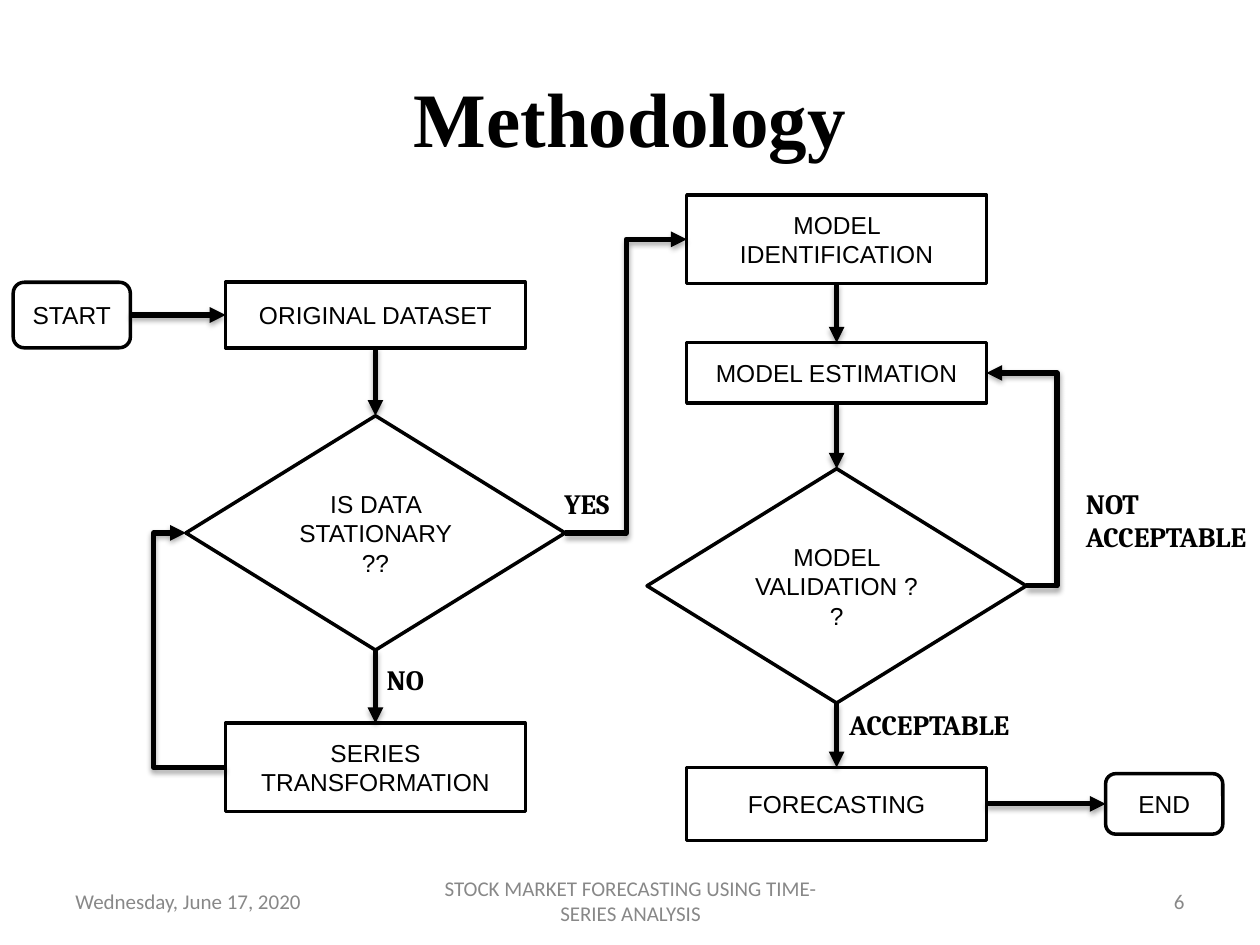
from dataclasses import dataclass

from pptx import Presentation
from pptx.dml.color import RGBColor
from pptx.enum.shapes import MSO_CONNECTOR as Route, MSO_SHAPE as Shape
from pptx.enum.text import MSO_ANCHOR as Anchor, PP_ALIGN as Align
from pptx.oxml import parse_xml
from pptx.oxml.ns import nsdecls, qn
from pptx.util import Inches, Pt


@dataclass(frozen=True)
class Theme:
    ink: str = "000000"
    paper: str = "FFFFFF"
    muted: str = "888888"
    title_size: int = 44
    label_size: int = 16
    node_size: int = 14
    footer_size: int = 12
    outline: float = 2
    arrow: float = 3


THEME = Theme()
TOP, LEFT, BOTTOM, RIGHT = range(4)  # connection sites

# Column centres and shared sizes
LEFT_COLUMN, RIGHT_COLUMN = 2.98, 6.64
STEP_WIDTH, CHOICE_WIDTH, CHOICE_HEIGHT, TERMINAL_WIDTH = 2.38, 3.01, 1.86, 0.93

# Name: text, shape, centre x, top, width, height
NODES = {
    "start": ("START", Shape.ROUNDED_RECTANGLE, 0.57, 2.24, TERMINAL_WIDTH, 0.52),
    "dataset": ("ORIGINAL DATASET", Shape.RECTANGLE, LEFT_COLUMN, 2.24, STEP_WIDTH, 0.52),
    "stationary": ("IS DATA STATIONARY ??", Shape.DIAMOND, LEFT_COLUMN, 3.3,
                   CHOICE_WIDTH, CHOICE_HEIGHT),
    "transformation": ("SERIES TRANSFORMATION", Shape.RECTANGLE, LEFT_COLUMN, 5.74,
                       STEP_WIDTH, 0.7),
    "identification": ("MODEL IDENTIFICATION", Shape.RECTANGLE, RIGHT_COLUMN, 1.55,
                       STEP_WIDTH, 0.7),
    "estimation": ("MODEL ESTIMATION", Shape.RECTANGLE, RIGHT_COLUMN, 2.72, STEP_WIDTH, 0.48),
    "validation": ("MODEL VALIDATION ??", Shape.DIAMOND, RIGHT_COLUMN, 3.72,
                   CHOICE_WIDTH, CHOICE_HEIGHT),
    "forecasting": ("FORECASTING", Shape.RECTANGLE, RIGHT_COLUMN, 6.09, STEP_WIDTH, 0.58),
    "end": ("END", Shape.ROUNDED_RECTANGLE, 9.24, 6.14, TERMINAL_WIDTH, 0.48),
}

# Source, site, target, site, x of the vertical run (None when straight)
ARROWS = [
    ("start", RIGHT, "dataset", LEFT, None),
    ("dataset", BOTTOM, "stationary", TOP, None),
    ("stationary", BOTTOM, "transformation", TOP, None),
    ("identification", BOTTOM, "estimation", TOP, None),
    ("estimation", BOTTOM, "validation", TOP, None),
    ("validation", BOTTOM, "forecasting", TOP, None),
    ("stationary", RIGHT, "identification", LEFT, 4.97),
    ("forecasting", RIGHT, "end", LEFT, None),
    ("transformation", LEFT, "stationary", LEFT, 1.22),
    ("validation", RIGHT, "estimation", RIGHT, 8.39),
]

# Text, left, top, width, height
LABELS = [
    ("NO", 2.97, 5.21, 0.51, 0.37),
    ("YES", 4.38, 3.81, 0.58, 0.37),
    ("NOT\nACCEPTABLE", 8.52, 3.81, 1.56, 0.64),
    ("ACCEPTABLE", 6.64, 5.57, 1.56, 0.37),
]

# Text, left, width, alignment
FOOTERS = [
    ("Wednesday, June 17, 2020", 0.5, 2.33, Align.LEFT),
    ("6", 7.17, 2.33, Align.RIGHT),
    ("STOCK MARKET FORECASTING USING TIME-SERIES ANALYSIS", 3.42, 3.17, Align.CENTER),
]


def write(box, text, *, size, font, color=THEME.ink, bold=False,
          align=Align.LEFT, anchor=Anchor.MIDDLE, wrap=True):
    """Fill a shape or text box with formatted paragraphs."""
    frame = box.text_frame
    frame.word_wrap = wrap
    frame.vertical_anchor = anchor
    frame.text = text
    for para in frame.paragraphs:
        para.alignment = align
        for span in para.runs:
            span.font.size = Pt(size)
            span.font.name = font
            span.font.bold = bold
            span.font.color.rgb = RGBColor.from_string(color)


def add_text(page, text, left, top, width, height, **style):
    box = page.shapes.add_textbox(Inches(left), Inches(top), Inches(width), Inches(height))
    write(box, text, **style)


def add_node(page, text, kind, center, top, width, height):
    node = page.shapes.add_shape(kind, Inches(center - width / 2), Inches(top),
                                 Inches(width), Inches(height))
    node.shadow.inherit = False
    node.fill.solid()
    node.fill.fore_color.rgb = RGBColor.from_string(THEME.paper)
    node.line.color.rgb = RGBColor.from_string(THEME.ink)
    node.line.width = Pt(THEME.outline)
    write(node, text, size=THEME.node_size, font="Arial", align=Align.CENTER)
    return node


def add_arrow(page, source, source_site, target, target_site, lane):
    route = Route.STRAIGHT if lane is None else Route.ELBOW
    arrow = page.shapes.add_connector(route, 0, 0, 0, 0)
    arrow.begin_connect(source, source_site)
    arrow.end_connect(target, target_site)
    arrow.line.color.rgb = RGBColor.from_string(THEME.ink)
    arrow.line.width = Pt(THEME.arrow)
    properties = arrow._element.spPr

    # Arrowhead and soft shadow
    properties.find(qn("a:ln")).append(
        parse_xml(f'<a:tailEnd {nsdecls("a")} type="triangle"/>'))
    properties.append(parse_xml(
        f'<a:effectLst {nsdecls("a")}>'
        f'<a:outerShdw blurRad="{Pt(3.1)}" dist="{Pt(1.8)}" dir="5400000" rotWithShape="0">'
        f'<a:srgbClr val="{THEME.ink}"><a:alpha val="35000"/></a:srgbClr>'
        '</a:outerShdw></a:effectLst>'))

    # Position of the vertical run, as a share of the horizontal span
    if lane is not None:
        share = (Inches(lane) - arrow.begin_x) / (arrow.end_x - arrow.begin_x)
        geometry = properties.find(qn("a:prstGeom"))
        for guides in geometry.findall(qn("a:avLst")):
            geometry.remove(guides)
        geometry.append(parse_xml(
            f'<a:avLst {nsdecls("a")}>'
            f'<a:gd name="adj1" fmla="val {round(share * 100000)}"/></a:avLst>'))


def main():
    deck = Presentation()
    deck.slide_width, deck.slide_height = Inches(10), Inches(7.5)
    page = deck.slides.add_slide(deck.slide_layouts[6])

    # Title
    add_text(page, "Methodology", 0.5, 0.3, 9, 1.25, size=THEME.title_size,
             font="Times New Roman", bold=True, align=Align.CENTER)

    # Flowchart
    nodes = {name: add_node(page, *node) for name, node in NODES.items()}
    for source, source_site, target, target_site, lane in ARROWS:
        add_arrow(page, nodes[source], source_site, nodes[target], target_site, lane)

    # Footer
    for text, left, width, align in FOOTERS:
        add_text(page, text, left, 6.95, width, 0.4, size=THEME.footer_size,
                 font="Calibri", color=THEME.muted, align=align)

    # Branch labels
    for label in LABELS:
        add_text(page, *label, size=THEME.label_size, font="Cambria", bold=True,
                 anchor=Anchor.TOP, wrap=False)

    deck.save("out.pptx")


main()
